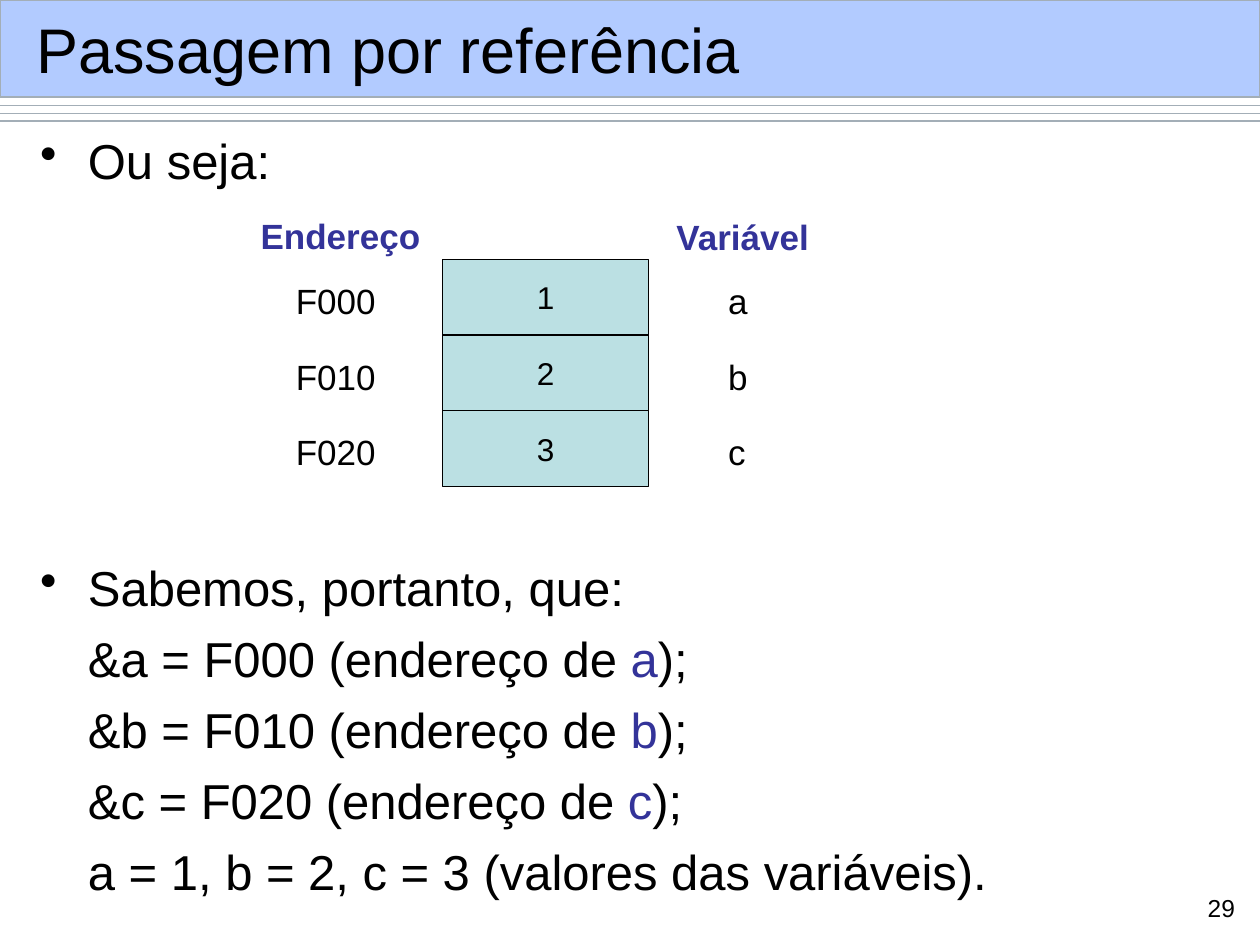
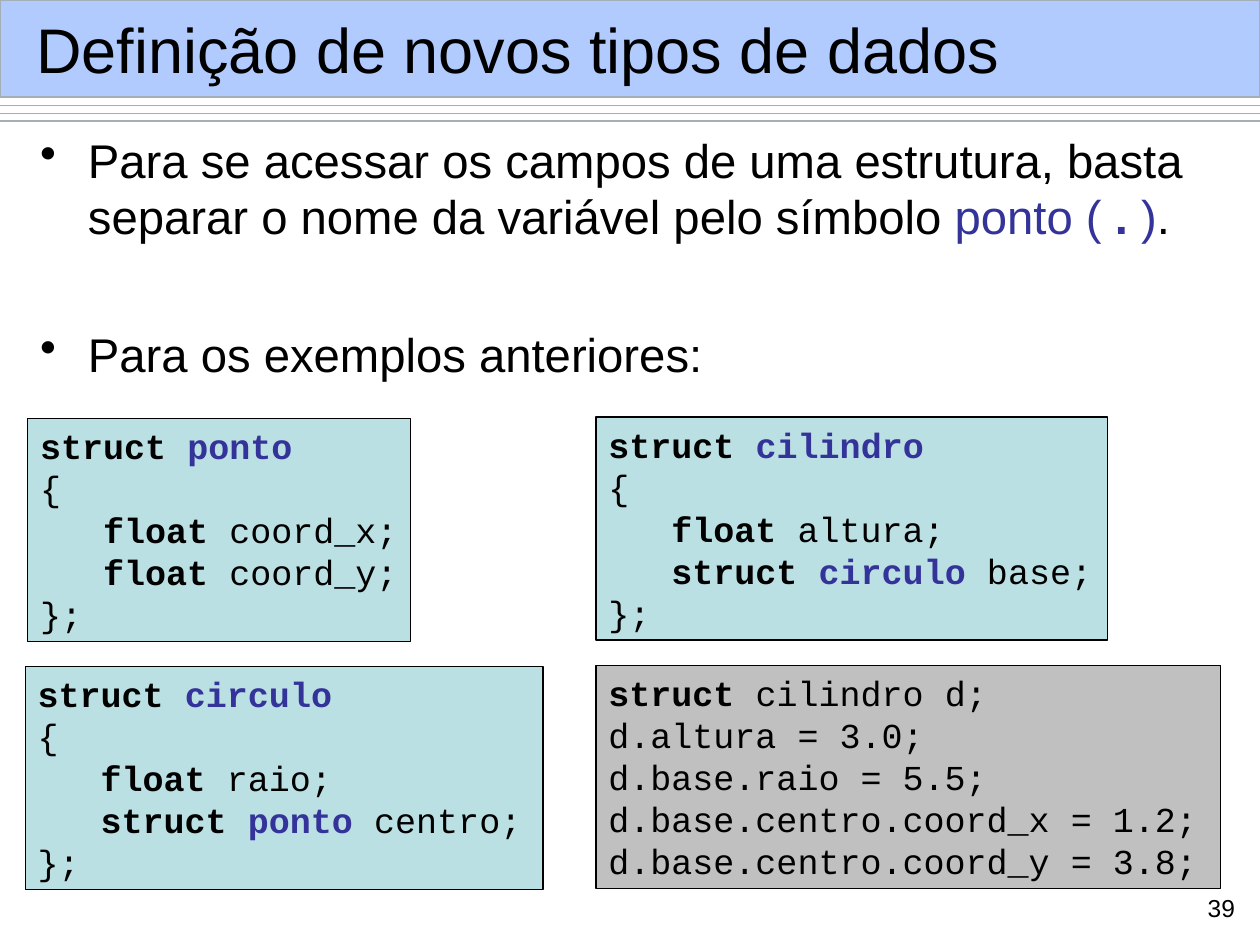
from dataclasses import dataclass
from typing import Any, NamedTuple

from lxml.etree import SubElement
from pptx import Presentation
from pptx.dml.color import RGBColor
from pptx.enum.shapes import MSO_CONNECTOR, MSO_SHAPE
from pptx.enum.text import MSO_ANCHOR, PP_ALIGN
from pptx.oxml.ns import qn
from pptx.util import Inches, Pt


@dataclass(frozen=True)
class Theme:
    ink: RGBColor = RGBColor(0x00, 0x00, 0x00)
    accent: RGBColor = RGBColor(0x33, 0x33, 0x99)
    band: RGBColor = RGBColor(0x66, 0x99, 0xFF)
    rule: RGBColor = RGBColor(0xA3, 0xAE, 0xB7)
    cell: RGBColor = RGBColor(0xBB, 0xE0, 0xE3)
    usage: RGBColor = RGBColor(0xC0, 0xC0, 0xC0)
    sans: str = "Arial"
    mono: str = "Courier New"
    title_size: float = 36
    reference_size: float = 28
    structs_size: float = 27
    label_size: float = 20
    value_size: float = 18
    page_size: float = 14
    leading: float = 1.2
    stroke: float = 0.75


THEME = Theme()


class Box(NamedTuple):
    left: float
    top: float
    width: float
    height: float


class Run(NamedTuple):
    text: str
    color: RGBColor = THEME.ink
    bold: bool = False


class Line(NamedTuple):
    runs: list[Run]
    indent: float = 0
    before: float = 0
    bullet: bool = False


class TextStyle(NamedTuple):
    size: float
    font: str = THEME.sans
    align: PP_ALIGN = PP_ALIGN.LEFT
    anchor: MSO_ANCHOR = MSO_ANCHOR.TOP
    right: float = 0.1


class CodeCard(NamedTuple):
    box: Box
    lines: list[Line]
    fill: RGBColor = THEME.cell


TITLE = TextStyle(THEME.title_size, anchor=MSO_ANCHOR.MIDDLE)
LABEL = TextStyle(THEME.label_size, right=0)
VALUE = TextStyle(THEME.value_size, align=PP_ALIGN.CENTER, anchor=MSO_ANCHOR.MIDDLE)
PAGE = TextStyle(THEME.page_size, align=PP_ALIGN.RIGHT)
CODE = TextStyle(THEME.label_size, THEME.mono, right=0.05)

TITLE_BOX = Box(0.19, 0.09, 9.64, 0.59)
BODY_BOX = Box(0.22, 0.99, 9.56, 6.24)
PAGE_BOX = Box(9.38, 7.04, 0.52, 0.35)
HANG = 0.38
CODE_INDENT = 0.5


def apply(target: Any, values: dict[str, Any]) -> None:
    for name, value in values.items():
        setattr(target, name, value)


def place(box: Box) -> list[int]:
    return [Inches(length) for length in box]


def write(holder: Any, lines: list[Line], style: TextStyle) -> None:
    frame = holder.text_frame
    apply(frame, {
        "word_wrap": True,
        "vertical_anchor": style.anchor,
        "margin_left": Inches(0.1),
        "margin_right": Inches(style.right),
        "margin_top": Inches(0.05),
        "margin_bottom": Inches(0.05),
    })
    for index, line in enumerate(lines):
        paragraph = frame.add_paragraph() if index else frame.paragraphs[0]
        apply(paragraph, {
            "alignment": style.align,
            "line_spacing": Pt(style.size * THEME.leading),
            "space_before": Pt(line.before),
        })
        properties = paragraph._p.get_or_add_pPr()
        properties.set("marL", str(Inches(line.indent)))
        properties.set("indent", str(-Inches(line.indent) if line.bullet else 0))
        if line.bullet:
            SubElement(properties, qn("a:buChar")).set("char", "•")
        for piece in line.runs:
            run = paragraph.add_run()
            run.text = piece.text
            apply(run.font, {"name": style.font, "size": Pt(style.size), "bold": piece.bold})
            run.font.color.rgb = piece.color


def add_text(slide: Any, box: Box, lines: list[Line], style: TextStyle) -> None:
    write(slide.shapes.add_textbox(*place(box)), lines, style)


def add_panel(slide: Any, box: Box, fill: RGBColor, outline: RGBColor = THEME.ink) -> Any:
    panel = slide.shapes.add_shape(MSO_SHAPE.RECTANGLE, *place(box))
    panel.shadow.inherit = False
    panel.fill.solid()
    panel.fill.fore_color.rgb = fill
    panel.line.color.rgb = outline
    panel.line.width = Pt(THEME.stroke)
    return panel


def add_rule(slide: Any, top: float) -> None:
    rule = slide.shapes.add_connector(
        MSO_CONNECTOR.STRAIGHT, 0, Inches(top), Inches(10), Inches(top))
    rule.line.color.rgb = THEME.rule
    rule.line.width = Pt(THEME.stroke)
    SubElement(rule._element.spPr, qn("a:effectLst"))


def start_slide(deck: Any, title: str, page: int) -> Any:
    slide = deck.slides.add_slide(deck.slide_layouts[6])
    for step in range(3):
        add_rule(slide, 0.84 + 0.06 * step)
    band = add_panel(slide, Box(0, 0, 10, 0.77), THEME.band, THEME.rule)
    band_color = band._element.spPr.find(qn("a:solidFill"))[0]
    SubElement(band_color, qn("a:alpha")).set("val", "50000")
    add_text(slide, TITLE_BOX, [Line([Run(title)])], TITLE)
    add_text(slide, PAGE_BOX, [Line([Run(str(page))])], PAGE)
    return slide


def accent(text: str, bold: bool = False) -> Run:
    return Run(text, THEME.accent, bold)


def keyword(text: str) -> Run:
    return Run(text, bold=True)


def struct(name: str, *fields: list[Run]) -> list[Line]:
    return [
        Line([keyword("struct "), accent(name, True)]),
        Line([Run("{")]),
        *(Line(field, CODE_INDENT) for field in fields),
        Line([Run("};")]),
    ]


def float_field(name: str) -> list[Run]:
    return [keyword("float"), Run(f" {name};")]


def struct_field(kind: str, name: str) -> list[Run]:
    return [keyword("struct "), accent(kind, True), Run(f" {name};")]


def build_reference(deck: Any) -> None:
    slide = start_slide(deck, "Passagem por referência", 29)
    memory = [("F000", "1", "a"), ("F010", "2", "b"), ("F020", "3", "c")]
    facts = [
        Line([Run(f"&{variable} = {address} (endereço de"), accent(f" {variable}"), Run(");")],
             HANG, 7)
        for address, _, variable in memory
    ]
    add_text(slide, BODY_BOX, [
        Line([Run("Ou seja:")], HANG, 7, True),
        Line([Run("Sabemos, portanto, que:")], HANG, 210, True),
        *facts,
        Line([Run("a = 1, b = 2, c = 3 (valores das variáveis).")], HANG, 7),
    ], TextStyle(THEME.reference_size))

    add_text(slide, Box(1.97, 1.65, 1.47, 0.44), [Line([accent("Endereço", True)])], LABEL)
    add_text(slide, Box(5.27, 1.66, 1.27, 0.44), [Line([accent("Variável", True)])], LABEL)
    for row, (address, value, variable) in enumerate(memory):
        offset = 0.6 * row
        cell = add_panel(slide, Box(3.51, 2.06 + offset, 1.64, 0.6), THEME.cell)
        write(cell, [Line([Run(value)])], VALUE)
        for left, width, label in ((2.25, 0.83, address), (5.68, 0.35, variable)):
            add_text(slide, Box(left, 2.17 + offset, width, 0.44), [Line([Run(label)])], LABEL)


def build_structs(deck: Any) -> None:
    slide = start_slide(deck, "Definição de novos tipos de dados", 39)
    add_text(slide, BODY_BOX, [
        Line([
            Run("Para se acessar os campos de uma estrutura, basta "
                "separar o nome da variável pelo símbolo "),
            accent("ponto ( "), accent(".", True), accent(" )"), Run("."),
        ], HANG, 6.8, True),
        Line([Run("Para os exemplos anteriores:")], HANG, 46, True),
    ], TextStyle(THEME.structs_size))

    assignments = [
        "d.altura = 3.0;",
        "d.base.raio = 5.5;",
        "d.base.centro.coord_x = 1.2;",
        "d.base.centro.coord_y = 3.8;",
    ]
    cards = [
        CodeCard(Box(4.73, 5.28, 4.96, 1.77),
                 [Line([keyword("struct"), Run(" cilindro d;")]),
                  *(Line([Run(text)]) for text in assignments)], THEME.usage),
        CodeCard(Box(4.73, 3.31, 4.06, 1.77),
                 struct("cilindro", float_field("altura"), struct_field("circulo", "base"))),
        CodeCard(Box(0.22, 3.32, 3.04, 1.77),
                 struct("ponto", float_field("coord_x"), float_field("coord_y"))),
        CodeCard(Box(0.2, 5.29, 4.11, 1.77),
                 struct("circulo", float_field("raio"), struct_field("ponto", "centro"))),
    ]
    for card in cards:
        write(add_panel(slide, card.box, card.fill), card.lines, CODE)


def main() -> None:
    deck = Presentation()
    apply(deck, {"slide_width": Inches(10), "slide_height": Inches(7.5)})
    build_reference(deck)
    build_structs(deck)
    deck.save("out.pptx")


if __name__ == "__main__":
    main()
